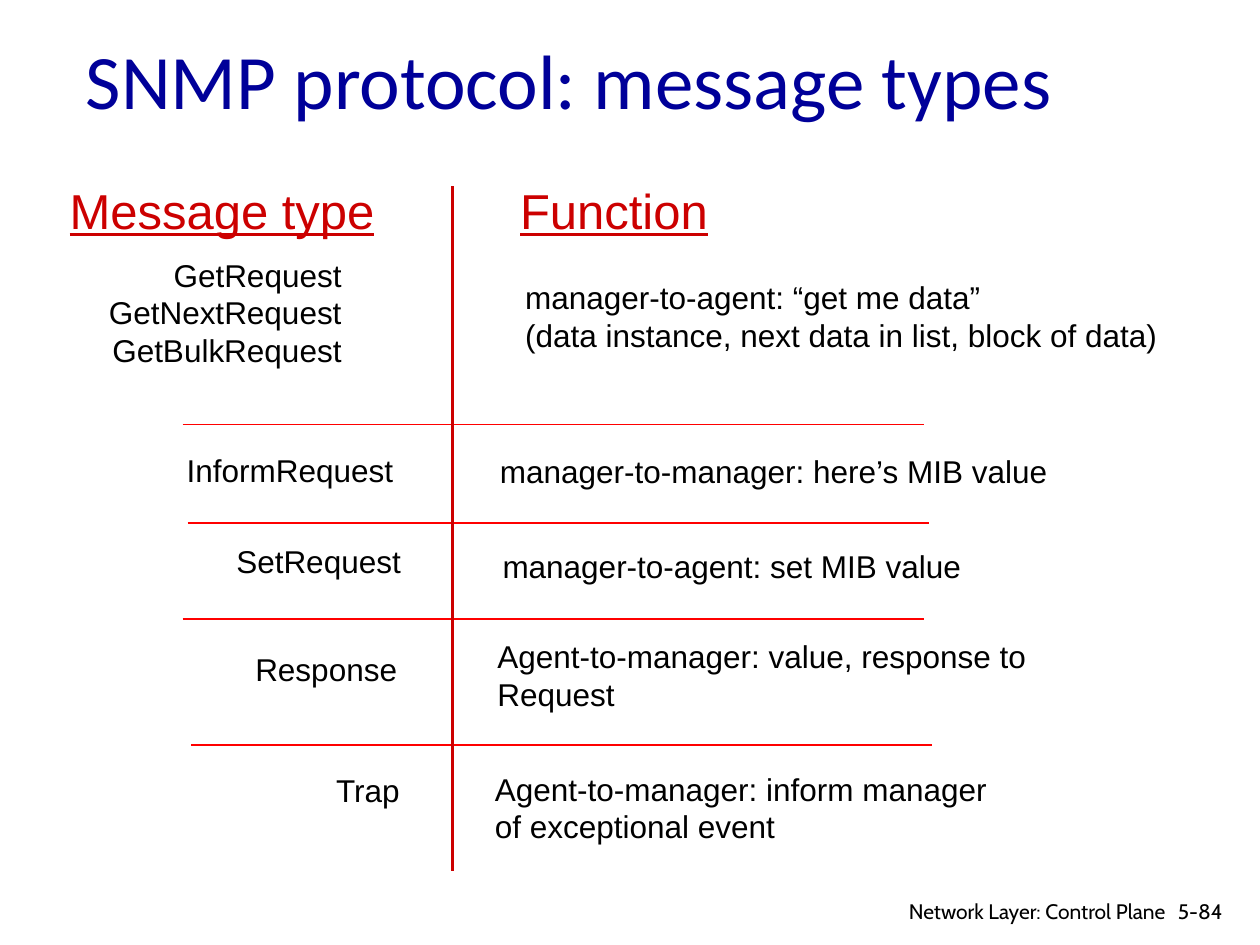
from lxml.etree import SubElement
from pptx import Presentation
from pptx.dml.color import RGBColor
from pptx.enum.shapes import MSO_CONNECTOR
from pptx.enum.text import MSO_ANCHOR, MSO_AUTO_SIZE, PP_ALIGN
from pptx.oxml.ns import qn
from pptx.util import Inches, Pt

NAVY = RGBColor(0x00, 0x00, 0x99)
CRIMSON = RGBColor(0xCC, 0x00, 0x00)
RED = RGBColor(0xFF, 0x00, 0x00)
BLACK = RGBColor(0x00, 0x00, 0x00)
LEFT, RIGHT = PP_ALIGN.LEFT, PP_ALIGN.RIGHT

TITLE = {"name": "Calibri", "size": Pt(44)}
HEADING = {"name": "Arial", "size": Pt(28), "underline": True}
BODY = {"name": "Arial", "size": Pt(18)}
FOOTER = {"name": "Cabin", "size": Pt(12)}

prs = Presentation()
prs.slide_width, prs.slide_height = Inches(10), Inches(7.5)
s = prs.slides.add_slide(prs.slide_layouts[5])


def write(sp, box, lines, style, color, align=LEFT, wrap=True):
    sp.left, sp.top, sp.width, sp.height = [Inches(v) for v in box]
    tf = sp.text_frame
    tf.word_wrap = wrap
    tf.auto_size = MSO_AUTO_SIZE.NONE
    tf.text = "\n".join(lines)
    for p in tf.paragraphs:
        p.alignment = align
        font = p.runs[0].font
        font.color.rgb = color
        for key, value in style.items():
            setattr(font, key, value)


def rule(x1, y1, x2, y2, color, width):
    line = s.shapes.add_connector(
        MSO_CONNECTOR.STRAIGHT, Inches(x1), Inches(y1), Inches(x2), Inches(y2))
    line.line.color.rgb = color
    line.line.width = Pt(width)
    SubElement(line._element.spPr, qn("a:effectLst"))


# Title
write(s.shapes.title, (0.58, 0, 8.5, 1.25), ["SNMP protocol: message types"], TITLE, NAVY)
s.shapes.title.text_frame.vertical_anchor = MSO_ANCHOR.MIDDLE

# Column headings
for box, text, align in [
    ((0.81, 1.38, 2.26, 0.57), "Message type", RIGHT),
    ((4.03, 1.38, 1.54, 0.57), "Function", LEFT),
]:
    write(s.shapes.add_textbox(0, 0, 0, 0), box, [text], HEADING, CRIMSON, align, wrap=False)

# Rows: message types on the left, their function on the right
rows = [
    ((0.99, 1.98, 1.82, 1), ["GetRequest", "GetNextRequest", "GetBulkRequest"],
     (4.07, 2.16, 4.67, 0.7), ["manager-to-agent: “get me data”",
                               "(data instance, next data in list, block of data)"]),
    ((0.4, 3.53, 2.82, 0.4), ["InformRequest"],
     (3.87, 3.54, 4.93, 0.4), ["manager-to-manager: here’s MIB value"]),
    ((0.46, 4.25, 2.82, 0.4), ["SetRequest"],
     (3.89, 4.29, 4.67, 0.4), ["manager-to-agent: set MIB value"]),
    ((0.43, 5.11, 2.82, 0.4), ["Response"],
     (3.85, 5.01, 4.63, 0.7), ["Agent-to-manager: value, response to", "Request"]),
    ((0.45, 6.07, 2.82, 0.4), ["Trap"],
     (3.83, 6.06, 5.24, 0.7), ["Agent-to-manager: inform manager", "of exceptional event"]),
]
for i, (type_box, types, function_box, function) in enumerate(rows):
    wrap = i > 0
    write(s.shapes.add_textbox(0, 0, 0, 0), type_box, types, BODY, BLACK, RIGHT, wrap)
    write(s.shapes.add_textbox(0, 0, 0, 0), function_box, function, BODY, BLACK, LEFT, wrap)

# Row separators and column divider
for x, y in [(1.45, 3.37), (1.49, 4.15), (1.45, 4.91), (1.52, 5.91)]:
    rule(x, y, x + 5.88, y, RED, 1)
rule(3.59, 1.48, 3.59, 6.91, CRIMSON, 2)

# Footer
for box, text, align in [
    ((9.25, 7.08, 0.6, 0.3), "5-84", LEFT),
    ((6.97, 7.08, 2.38, 0.26), "Network Layer: Control Plane", RIGHT),
]:
    write(s.shapes.add_textbox(0, 0, 0, 0), box, [text], FOOTER, BLACK, align)

prs.save("out.pptx")
